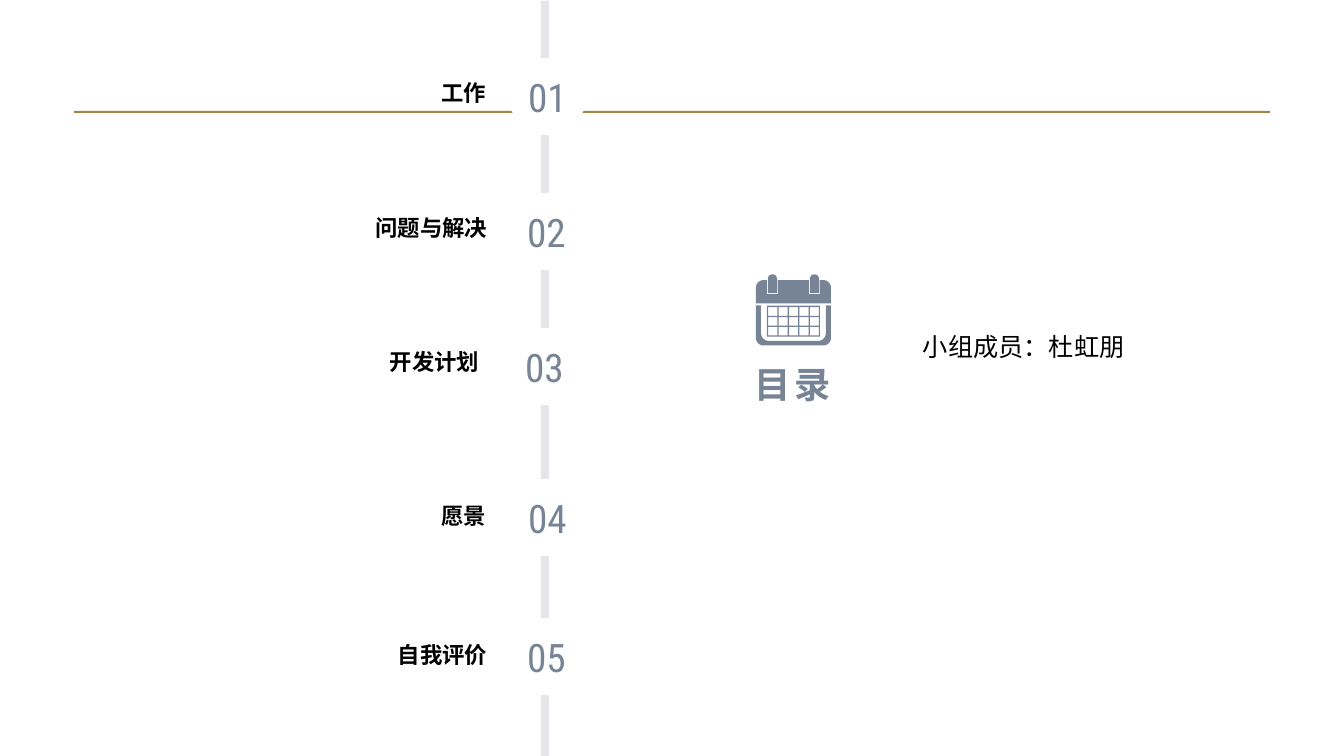
from math import cos, radians, sin

from pptx import Presentation
from pptx.dml.color import RGBColor
from pptx.enum.shapes import MSO_SHAPE
from pptx.enum.text import MSO_ANCHOR, MSO_AUTO_SIZE, PP_ALIGN
from pptx.util import Pt

PX = 12192000 / 1344
COLORS = {"gold": "A78343", "rail": "E4E6EA", "slate": "778495",
          "white": "FFFFFF", "black": "000000"}
ITEMS = [("工作", 512, 61, 85, 69),
         ("问题与解决", 511, 196, 86, 204),
         ("开发计划", 509, 331, 78, 338),
         ("愿景", 512, 482, 85, 492),
         ("自我评价", 511, 621, 86, 631)]


class Deck:
    """Holds the style and the current slide, with lengths in pixels."""

    def __init__(self, width, height):
        self.prs = Presentation()
        self.prs.slide_width, self.prs.slide_height = self.emu(width, height)
        self.s = self.prs.slides.add_slide(self.prs.slide_layouts[5])

    def emu(self, *lengths):
        return [round(v * PX) for v in lengths]

    def color(self, name):
        return RGBColor.from_string(COLORS[name])

    def paint(self, sp, fill, line=None):
        sp.shadow.inherit = False
        sp.fill.solid()
        sp.fill.fore_color.rgb = self.color(fill)
        if line:
            sp.line.color.rgb = self.color(fill)
            sp.line.width = Pt(line)
        else:
            sp.line.fill.background()

    def shape(self, kind, box, fill, line=None):
        sp = self.s.shapes.add_shape(kind, *self.emu(*box))
        self.paint(sp, fill, line)
        return sp

    def fill_text(self, sp, text, size, color, font="Arial", bold=False,
                  align=PP_ALIGN.LEFT, anchor=MSO_ANCHOR.MIDDLE, wrap=True):
        tf = sp.text_frame
        tf.word_wrap = wrap
        tf.auto_size = MSO_AUTO_SIZE.NONE
        tf.vertical_anchor = anchor
        p = tf.paragraphs[0]
        p.alignment = align
        r = p.add_run()
        r.text = text
        r.font.size, r.font.name, r.font.bold = Pt(size), font, bold
        r.font.color.rgb = self.color(color)
        return p

    def text(self, box, text, size, color, **style):
        sp = self.s.shapes.add_textbox(*self.emu(*box))
        return self.fill_text(sp, text, size, color, **style)

    def title(self, box, text, size, color, spacing, tracking):
        sp = self.s.shapes.title
        sp.left, sp.top, sp.width, sp.height = self.emu(*box)
        p = self.fill_text(sp, text, size, color, bold=True, wrap=False)
        p.line_spacing = spacing
        p.runs[0].font._element.set("spc", str(tracking * 100))

    def outline(self, contours, fill):
        contours = [[(x * 10, y * 10) for x, y in c] for c in contours]
        fb = self.s.shapes.build_freeform(*contours[0][0], scale=PX / 10)
        for i, points in enumerate(contours):
            if i:
                fb.move_to(*points[0])
            fb.add_line_segments(points[1:], close=True)
        self.paint(fb.convert_to_shape(), fill)


def arc(cx, cy, radius, start, end, steps=8):
    angles = [radians(start + (end - start) * i / steps) for i in range(steps + 1)]
    return [(cx + radius * cos(a), cy + radius * sin(a)) for a in angles]


def rect(x, y, w, h):
    return [(x, y), (x + w, y), (x + w, y + h), (x, y + h)]


def calendar(center):
    def mirror(points):
        return [(2 * center - x, y) for x, y in reversed(points)]

    case = (arc(769, 333, 8, 90, 180) + [(761, 305.5), (756, 305.5)]
            + arc(763.5, 338, 7.5, 180, 90))
    header = ([(756, 303.4)] + arc(763.5, 287.7, 7.5, 180, 270)
              + [(767, 280.2), (767, 294.3), (778, 294.3), (778, 280.2)])
    pin = arc(772.5, 278.9, 4.6, 180, 360) + [(777.1, 293.3), (767.9, 293.3)]
    cells = [rect(768.3 + 10.4 * i, 307.3 + 9.8 * j, 9.1, 8.6)[::-1]
             for i in range(5) for j in range(3)]
    return [case + mirror(case), header + mirror(header), pin, mirror(pin),
            rect(767, 305.8, 53, 31)] + cells


deck = Deck(1344, 756)
deck.shape(MSO_SHAPE.RECTANGLE, (74, 111, 1196, 2), "gold")
deck.shape(MSO_SHAPE.RECTANGLE, (541, 1, 8, 755), "rail")
for i, (label, dot_x, dot_y, label_x, label_y) in enumerate(ITEMS, 1):
    dot = deck.shape(MSO_SHAPE.OVAL, (dot_x, dot_y, 71, 71), "white", 4.5)
    deck.fill_text(dot, f"{i:02d}", 28, "slate", font="Roboto Condensed",
                   align=PP_ALIGN.CENTER, wrap=False)
    deck.text((label_x, label_y, 411, 42), label, 16, "black", bold=True,
              align=PP_ALIGN.RIGHT, anchor=MSO_ANCHOR.BOTTOM)
deck.title((744, 344, 355, 67), "目录", 25.9, "slate", 1.3, 3)
deck.outline(calendar(793.5), "slate")
deck.text((913, 326, 293, 64), "小组成员：杜虹朋", 18, "black", anchor=MSO_ANCHOR.TOP)
deck.prs.save("out.pptx")
